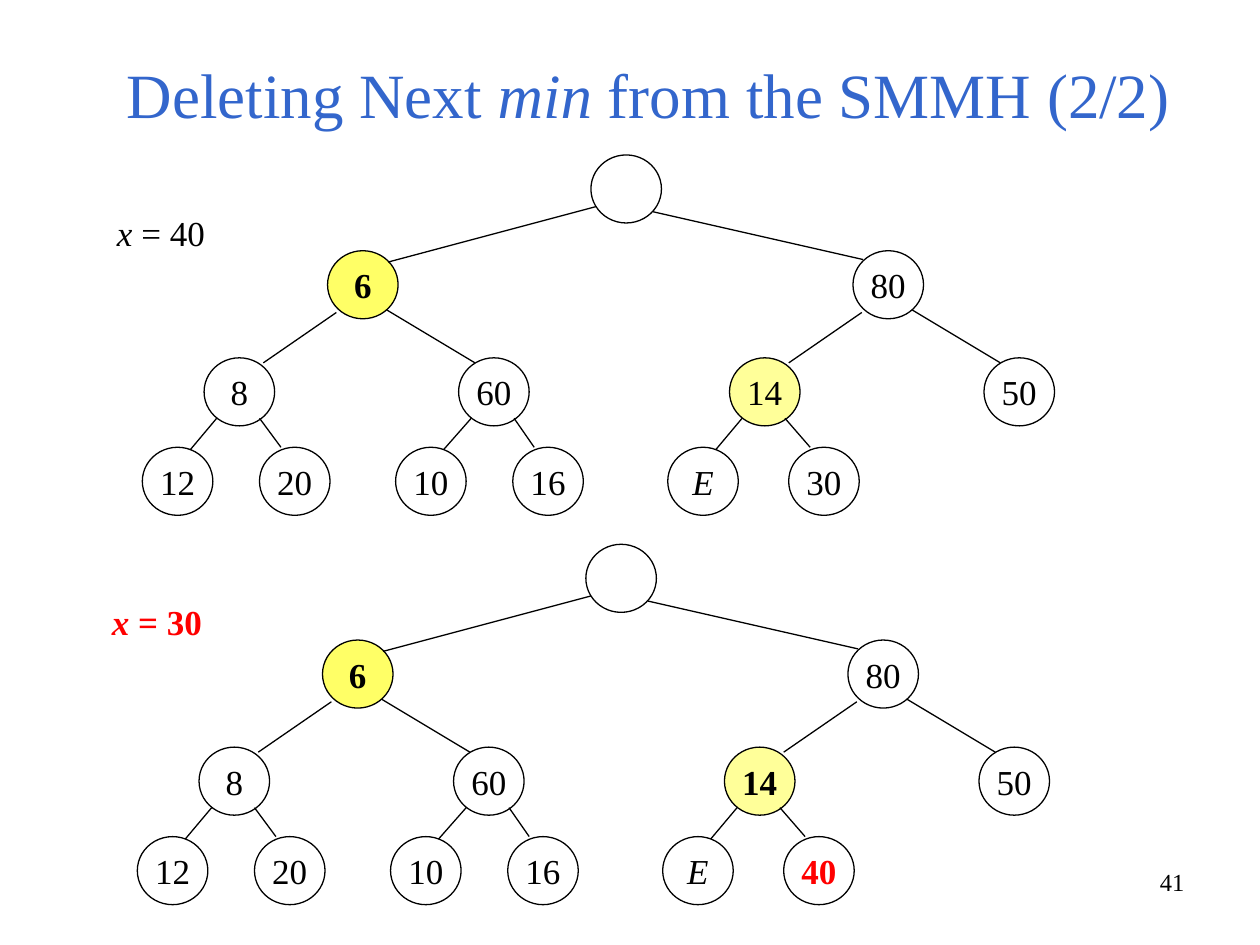
"""Build the slide on deleting the next min from a symmetric min-max heap."""
from lxml.etree import SubElement
from pptx import Presentation
from pptx.dml.color import RGBColor
from pptx.enum.shapes import MSO_CONNECTOR, MSO_SHAPE
from pptx.enum.text import MSO_ANCHOR, MSO_AUTO_SIZE, PP_ALIGN
from pptx.oxml.ns import qn
from pptx.util import Inches, Pt

BLACK = RGBColor(0x00, 0x00, 0x00)
WHITE = RGBColor(0xFF, 0xFF, 0xFF)
RED = RGBColor(0xFF, 0x00, 0x00)
BLUE = RGBColor(0x33, 0x66, 0xCC)
YELLOW = RGBColor(0xFF, 0xFF, 0x66)
PALE_YELLOW = RGBColor(0xFF, 0xFF, 0x99)

FONT = "Times New Roman"
ITALIC = {"italic": True}
BOLD = {"bold": True}
RED_BOLD = {"bold": True, "color": RED}

TITLE = [("Deleting Next ", {}), ("min", ITALIC), (" from the SMMH (2/2)", {})]
PAGE_NUMBER = [("41", {})]

HEAP = ["", "6", "80", "8", "60", "14", "50", "12", "20", "10", "16", "E"]
TREES = [
    {
        "origin": (0, 0),
        "label": [("x", ITALIC), (" = 40", {})],
        "values": HEAP + ["30"],
        "formats": {1: BOLD, 11: ITALIC},
    },
    {
        "origin": (-0.04, 3.09),
        "label": [("x", RED_BOLD | ITALIC), (" = 30", RED_BOLD)],
        "values": HEAP + ["40"],
        "formats": {1: BOLD, 5: BOLD, 11: ITALIC, 12: RED_BOLD},
    },
]
FILLS = {1: YELLOW, 2: WHITE, 3: WHITE, 5: PALE_YELLOW, 6: WHITE}

NODE_SIZE = (0.56, 0.54)
LEVEL_TOPS = [1.23, 1.99, 2.84, 3.55]
NODE_LEFTS = [4.69, 2.6, 6.77, 1.62, 3.64, 5.79, 7.81,
              1.13, 2.06, 3.14, 4.07, 5.3, 6.26]
LABEL_BOX = (0.83, 1.63, 1.02, 0.44)
EDGE_ENDS = [
    {"left": ((0.04, 0.41), (0.48, 0.09)), "right": ((0.49, 0.45), (0.08, 0.07))},
    {"left": ((0.07, 0.49), (0.47, 0.04)), "right": ((0.47, 0.47), (0.13, 0.04))},
    {"left": ((0.1, 0.48), (0.38, 0.02)), "right": ((0.44, 0.48), (0.17, 0))},
]


def shift(point, offset):
    return point[0] + offset[0], point[1] + offset[1]


def inches(*lengths):
    return [Inches(length) for length in lengths]


def write(shape, spans, size, color=BLACK, align=PP_ALIGN.LEFT,
          anchor=MSO_ANCHOR.TOP, wrap=True):
    frame = shape.text_frame
    settings = {"auto_size": MSO_AUTO_SIZE.NONE, "word_wrap": wrap,
                "vertical_anchor": anchor}
    for name, value in settings.items():
        setattr(frame, name, value)
    para = frame.paragraphs[0]
    para.alignment = align
    for text, changes in spans:
        span = para.add_run()
        span.text = text
        style = {"name": FONT, "size": Pt(size), "bold": False,
                 "italic": False, "color": color} | changes
        span.font.color.rgb = style.pop("color")
        for name, value in style.items():
            setattr(span.font, name, value)


def outline(shape):
    shape.line.color.rgb = BLACK
    shape.line.width = Pt(0.75)


def add_node(page, place, text, changes, fill):
    node = page.shapes.add_shape(MSO_SHAPE.OVAL, *inches(*place, *NODE_SIZE))
    node.shadow.inherit = False
    outline(node)
    if fill is None:
        node.fill.background()
    else:
        node.fill.solid()
        node.fill.fore_color.rgb = fill
    if text:
        write(node, [(text, changes)], 20, align=PP_ALIGN.CENTER,
              anchor=MSO_ANCHOR.MIDDLE, wrap=False)


def add_edge(page, start, end):
    edge = page.shapes.add_connector(MSO_CONNECTOR.STRAIGHT, *inches(*start, *end))
    outline(edge)
    SubElement(edge._element.spPr, qn("a:effectLst"))


def level_of(index):
    return (index + 1).bit_length() - 1


def add_tree(page, tree):
    places = [shift((left, LEVEL_TOPS[level_of(index)]), tree["origin"])
              for index, left in enumerate(NODE_LEFTS)]
    for index, text in enumerate(tree["values"]):
        add_node(page, places[index], text, tree["formats"].get(index, {}),
                 FILLS.get(index))
    for child in range(1, len(places)):
        parent = (child - 1) // 2
        side = "left" if child % 2 else "right"
        start, end = EDGE_ENDS[level_of(parent)][side]
        add_edge(page, shift(places[parent], start), shift(places[child], end))
    place = shift(LABEL_BOX[:2], tree["origin"])
    label = page.shapes.add_textbox(*inches(*place, *LABEL_BOX[2:]))
    write(label, tree["label"], 20)


def main():
    deck = Presentation()
    deck.slide_width, deck.slide_height = inches(10, 7.5)
    page = deck.slides.add_slide(deck.slide_layouts[5])
    title = page.shapes.title
    title.left, title.top, title.width, title.height = inches(0.75, 0.35, 8.79, 0.74)
    write(title, TITLE, 36, BLUE, PP_ALIGN.CENTER, MSO_ANCHOR.BOTTOM)
    for tree in TREES:
        add_tree(page, tree)
    number = page.shapes.add_textbox(*inches(7.17, 6.83, 2.33, 0.52))
    write(number, PAGE_NUMBER, 14, align=PP_ALIGN.RIGHT)
    deck.save("out.pptx")


if __name__ == "__main__":
    main()
